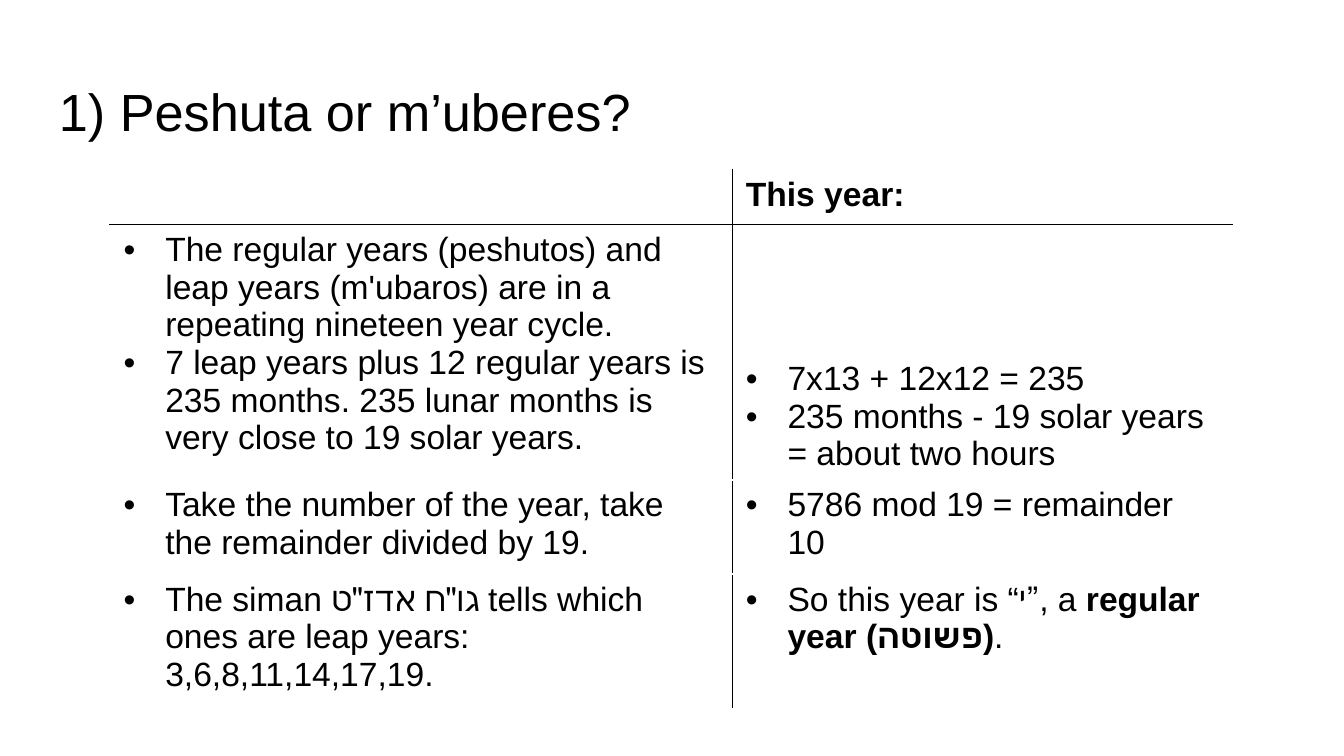
from pptx import Presentation
from pptx.dml.color import RGBColor
from pptx.enum import text
from pptx.oxml.ns import qn
from pptx.util import Inches, Pt
from lxml import etree

# Content: each cell is a list of paragraphs, each paragraph a list of (text, bold) runs
TITLE = "1) Peshuta or m’uberes?"
HEADER = ["", "This year:"]
STEPS = [
    (
        [
            [("The regular years (peshutos) and leap years (m'ubaros) are in a "
              "repeating nineteen year cycle.", False)],
            [("7 leap years plus 12 regular years is 235 months. 235 lunar months is "
              "very close to 19 solar years.", False)],
        ],
        [
            [("7x13 + 12x12 = 235", False)],
            [("235 months - 19 solar years = about two hours", False)],
        ],
    ),
    (
        [[("Take the number of the year, take the remainder divided by 19.", False)]],
        [[("5786 mod 19 = remainder 10", False)]],
    ),
    (
        [[("The siman גו\"ח אדז\"ט tells which ones are leap years: "
           "3,6,8,11,14,17,19.", False)]],
        [[("So this year is “י”, a ", False), ("regular year (פשוטה)", True),
          (".", False)]],
    ),
]
COLORS = {"ink": "000000", "paper": "FFFFFF"}
FONT = "Arial"
COLUMN_WIDTHS = [4.63, 3.72]
ROW_HEIGHT = 0.41  # rows grow to fit their text
ROW_COUNT = 1 + len(STEPS)
INDENT = Inches(0.31)


def set_font(font, size):
    font.name = FONT
    font.size = Pt(size)
    font.color.rgb = RGBColor.from_string(COLORS["ink"])


def add_bullet(paragraph):
    properties = paragraph._p.get_or_add_pPr()
    properties.set("marL", str(INDENT))
    properties.set("indent", str(-INDENT))
    color = etree.SubElement(properties, qn("a:buClr"))
    etree.SubElement(color, qn("a:srgbClr"), val=COLORS["ink"])
    etree.SubElement(properties, qn("a:buFont"), typeface=FONT)
    etree.SubElement(properties, qn("a:buChar"), char="•")


def set_borders(cell, inked):
    """Draw the inked sides in black and the others in the paper colour."""
    properties = cell._tc.get_or_add_tcPr()
    for position, side in enumerate("LRTB"):
        line = etree.Element(qn(f"a:ln{side}"), w=str(Pt(1)))
        fill = etree.SubElement(line, qn("a:solidFill"))
        color = COLORS["ink" if side in inked else "paper"]
        etree.SubElement(fill, qn("a:srgbClr"), val=color)
        properties.insert(position, line)


presentation = Presentation()
presentation.slide_width = Inches(10)
presentation.slide_height = Inches(10 * 9 / 16)
slide = presentation.slides.add_slide(presentation.slide_layouts[6])

# Title
title = slide.shapes.add_textbox(Inches(0.34), Inches(0.49), Inches(9.32), Inches(0.63))
title_frame = title.text_frame
title_frame.word_wrap = True
title_frame.margin_left = title_frame.margin_right = Inches(0.1)
title_frame.margin_top = title_frame.margin_bottom = Inches(0.1)
title_frame.text = TITLE
set_font(title_frame.paragraphs[0].font, 28)

# Table grid
steps_frame = slide.shapes.add_table(
    ROW_COUNT, len(COLUMN_WIDTHS), Inches(0.82), Inches(1.26),
    Inches(sum(COLUMN_WIDTHS)), Inches(ROW_COUNT * ROW_HEIGHT))
steps_table = steps_frame.table
steps_table.horz_banding = False
for column, width in zip(steps_table.columns, COLUMN_WIDTHS):
    column.width = Inches(width)
steps_frame.height = Inches(4.01)

# Fill and rules: one under the header, one between the columns
for r in range(ROW_COUNT):
    for c in range(len(COLUMN_WIDTHS)):
        cell = steps_table.cell(r, c)
        cell.fill.solid()
        cell.fill.fore_color.rgb = RGBColor.from_string(COLORS["paper"])
        set_borders(cell, "RL"[c] + {0: "B", 1: "T"}.get(r, ""))

# Header row
for c, label in enumerate(HEADER):
    cell = steps_table.cell(0, c)
    cell.text = label
    heading = cell.text_frame.paragraphs[0]
    set_font(heading.font, 18)
    heading.font.bold = True

# Steps
for r, step in enumerate(STEPS, start=1):
    for c, bullets in enumerate(step):
        frame = steps_table.cell(r, c).text_frame
        for i, runs in enumerate(bullets):
            paragraph = frame.paragraphs[0] if i == 0 else frame.add_paragraph()
            add_bullet(paragraph)
            set_font(paragraph.font, 18)
            for words, bold in runs:
                run = paragraph.add_run()
                run.text = words
                run.font.bold = bold

# The sums stand level with the second bullet on their left
steps_table.cell(1, 1).vertical_anchor = text.MSO_ANCHOR.BOTTOM

presentation.save("out.pptx")
